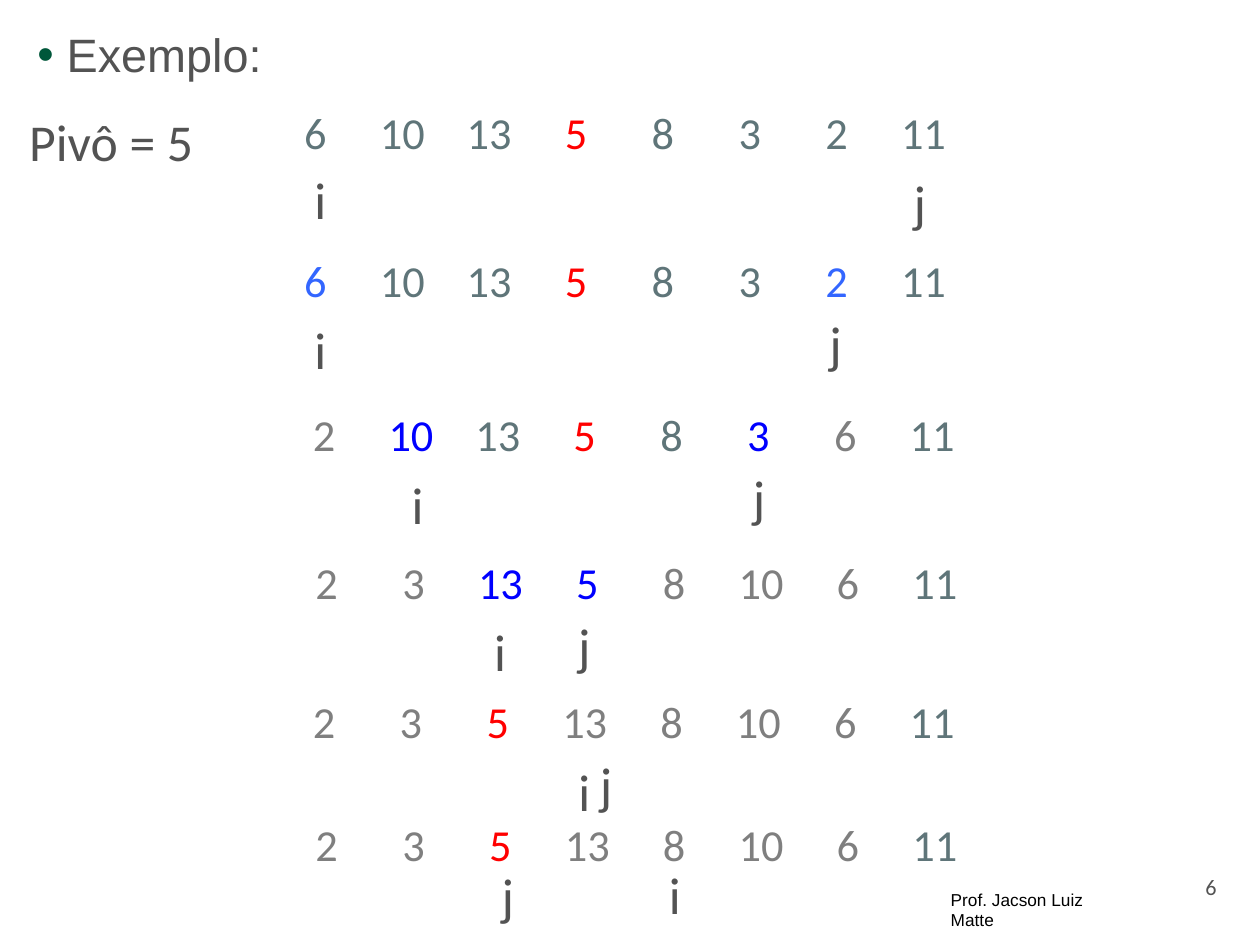
from lxml import etree
from pptx import Presentation
from pptx.dml.color import RGBColor
from pptx.enum.text import MSO_ANCHOR as ANCHOR, MSO_AUTO_SIZE as AUTO, PP_ALIGN as ALIGN
from pptx.oxml.ns import qn
from pptx.util import Inches, Pt

W, H = Inches(14.22), Inches(10.66)
COL, ROW = W / 14.5, H / 15

BLACK = RGBColor(0x00, 0x00, 0x00)
TEXT = RGBColor(0x53, 0x53, 0x53)
GREEN = RGBColor(0x00, 0x57, 0x3A)
SLATE = RGBColor(0x5F, 0x75, 0x79)
GRAY = RGBColor(0x7F, 0x7F, 0x7F)
RED = RGBColor(0xFF, 0x00, 0x00)
SKY = RGBColor(0x33, 0x66, 0xFF)
BLUE = RGBColor(0x00, 0x00, 0xFF)
COLORS = {"S": SLATE, "G": GRAY, "R": RED, "K": SKY, "B": BLUE}

# left, top, values, colours, offset of i, offset of j
STEPS = [
    (3.13, 1.63, "6 10 13 5 8 3 2 11", "SSSRSSSS", (0.42, 0.96), (7.32, 1.01)),
    (3.13, 3.98, "6 10 13 5 8 3 2 11", "KSSRSSKS", (0.42, 0.99), (6.35, 0.89)),
    (3.23, 6.43, "2 10 13 5 8 3 6 11", "GBSRSBGS", (1.44, 1.00), (5.37, 0.89)),
    (3.26, 8.77, "2 3 13 5 8 10 6 11", "GGBBGGGS", (2.36, 0.99), (3.33, 0.89)),
    (3.23, 10.98, "2 3 5 13 8 10 6 11", "GGRGGGGS", (3.36, 1.00), (3.61, 0.89)),
    (3.26, 12.93, "2 3 5 13 8 10 6 11", "GGRGGGGS", (4.37, 0.69), (2.45, 0.70)),
]


def grid(col, row, cols, rows):
    return int(col * COL), int(row * ROW), int(cols * COL), int(rows * ROW)


def write(tf, text, size=42, font="Calibri", color=TEXT, align=ALIGN.CENTER):
    p = tf.paragraphs[0]
    p.alignment = align
    r = p.add_run()
    r.text = text
    r.font.size = Pt(size)
    r.font.name = font
    r.font.color.rgb = color
    return p


def set_margins(obj, x, y):
    obj.margin_left = obj.margin_right = Inches(x)
    obj.margin_top = obj.margin_bottom = Inches(y)


def add_label(slide, text, box, wrap=False, margin=0.06, anchor=ANCHOR.MIDDLE, **fmt):
    tf = slide.shapes.add_textbox(*grid(*box)).text_frame
    tf.word_wrap = wrap
    tf.auto_size = AUTO.SHAPE_TO_FIT_TEXT
    tf.vertical_anchor = anchor
    set_margins(tf, margin, margin)
    write(tf, text, **fmt)


def add_bullet(p, char, color, indent):
    pPr = p._p.get_or_add_pPr()
    pPr.set("marL", str(indent))
    pPr.set("indent", str(-indent))
    clr = etree.SubElement(pPr, qn("a:buClr"))
    etree.SubElement(clr, qn("a:srgbClr")).set("val", str(color))
    etree.SubElement(pPr, qn("a:buFont")).set("typeface", "Arial")
    etree.SubElement(pPr, qn("a:buChar")).set("char", char)


def add_heading(slide, text):
    sp = slide.placeholders[1]
    sp.left, sp.top, sp.width, sp.height = grid(0.43, 0.41, 13.7, 13.35)
    tf = sp.text_frame
    tf.auto_size = AUTO.NONE
    tf.vertical_anchor = ANCHOR.TOP
    set_margins(tf, 0, 0)
    p = write(tf, text, size=38, font="Arial", align=ALIGN.LEFT)
    p.space_before = Pt(38)
    add_bullet(p, "•", GREEN, Inches(0.33))


def add_array(slide, left, top, values, colors):
    box = grid(left, top, len(values), 1)
    table = slide.shapes.add_table(1, len(values), *box).table
    table.first_row = table.horz_banding = False
    for cell, value, color in zip(table.rows[0].cells, values, colors):
        cell.fill.background()
        cell.vertical_anchor = ANCHOR.MIDDLE
        set_margins(cell, 0.06, 0.05)
        write(cell.text_frame, value, size=36, color=COLORS[color])


def add_step(slide, left, top, values, colors, i, j):
    add_array(slide, left, top, values.split(), colors)
    for name, (dx, dy) in (("i", i), ("j", j)):
        add_label(slide, name, (left + dx, top + dy, 0.27, 1.14))


def main():
    prs = Presentation()
    prs.slide_width, prs.slide_height = W, H
    slide = prs.slides.add_slide(prs.slide_layouts[1])
    title = slide.shapes.title._element
    title.getparent().remove(title)
    add_label(slide, "Prof. Jacson Luiz Matte", (10.88, 14.03, 2.08, 0.82),
              wrap=True, size=14, font="Arial", color=BLACK, align=ALIGN.LEFT)
    add_label(slide, "6", (13.31, 13.86, 1.25, 0.48),
              margin=0, anchor=ANCHOR.TOP, size=18)
    add_heading(slide, "Exemplo:")
    add_label(slide, "Pivô = 5", (0.14, 1.67, 2.28, 1.14))
    for step in STEPS:
        add_step(slide, *step)
    prs.save("out.pptx")


if __name__ == "__main__":
    main()
